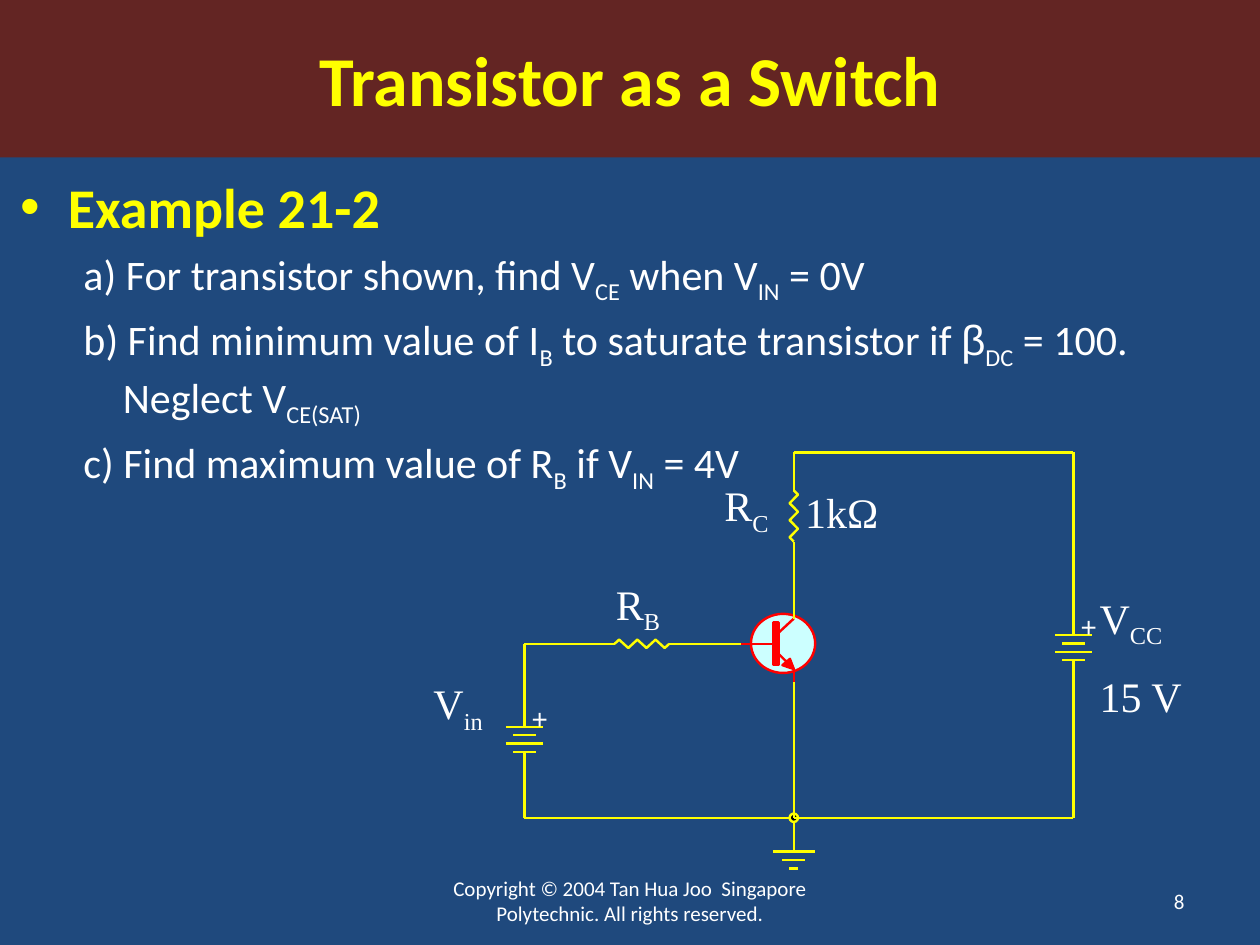
from itertools import pairwise

from lxml import etree
from pptx import Presentation
from pptx import util as u
from pptx.dml.color import RGBColor
from pptx.enum import shapes, text
from pptx.oxml import ns

Pt = u.Pt
NAVY = RGBColor(0x1F, 0x49, 0x7D)
MAROON = RGBColor(0x63, 0x25, 0x23)
YELLOW = RGBColor(0xFF, 0xFF, 0x00)
WHITE = RGBColor(0xFF, 0xFF, 0xFF)
RED = RGBColor(0xFF, 0x00, 0x00)
PALE_CYAN = RGBColor(0xCC, 0xFF, 0xFF)
BLACK = RGBColor(0x00, 0x00, 0x00)
STROKE, LEAD = 1.38, 7.2


# Text helpers
def place(shape, box):
    shape.left, shape.top, shape.width, shape.height = (Pt(v) for v in box)


def add_runs(paragraph, parts, size, font, colour, bold=False):
    """Add runs; every second part is a subscript."""
    for i, part in enumerate(parts):
        if not part:
            continue
        run = paragraph.add_run()
        run.text = part
        run.font.size, run.font.bold = Pt(size), bold
        run.font.name = "Arial" if part == "β" else font
        run.font.color.rgb = colour
        if i % 2:
            run._r.get_or_add_rPr().set("baseline", "-25000")


def set_bullet(paragraph, margin, indent, char=None):
    pPr = paragraph._p.get_or_add_pPr()
    pPr.set("marL", str(Pt(margin)))
    pPr.set("indent", str(Pt(indent)))
    bullet = etree.SubElement(pPr, ns.qn("a:buChar" if char else "a:buNone"))
    if char:
        bullet.set("char", char)


def add_label(slide, box, *lines):
    label = slide.shapes.add_textbox(*(Pt(v) for v in box))
    frame = label.text_frame
    frame.word_wrap = True
    frame.auto_size = text.MSO_AUTO_SIZE.SHAPE_TO_FIT_TEXT
    for i, parts in enumerate(lines):
        paragraph = frame.add_paragraph() if i else frame.paragraphs[0]
        if i:
            paragraph.space_before = Pt(12)
        add_runs(paragraph, parts, 24, "Times New Roman", WHITE)


# Drawing helpers
def paint(shape, fill, line):
    shape.shadow.inherit = False
    if fill is None:
        shape.fill.background()
    else:
        shape.fill.solid()
        shape.fill.fore_color.rgb = fill
    shape.line.color.rgb = line
    shape.line.width = Pt(STROKE)


def add_preset(slide, kind, box, fill, line):
    shape = slide.shapes.add_shape(kind, *(Pt(v) for v in box))
    paint(shape, fill, line)
    return shape


def add_outline(slide, points, fill, line, close):
    points = [(Pt(x), Pt(y)) for x, y in points]
    builder = slide.shapes.build_freeform(*points[0], scale=1.0)
    builder.add_line_segments(points[1:], close=close)
    paint(builder.convert_to_shape(), fill, line)


def add_wires(slide, *points, colour=YELLOW):
    for start, end in pairwise(points):
        wire = slide.shapes.add_connector(
            shapes.MSO_CONNECTOR.STRAIGHT, *(Pt(v) for v in (*start, *end)))
        wire.line.color.rgb = colour
        wire.line.width = Pt(STROKE)
        etree.SubElement(wire._element.spPr, ns.qn("a:effectLst"))
    return wire


# Circuit components
def add_plates(slide, x, y, half_widths):
    for i, half in enumerate(half_widths):
        add_wires(slide, (x - half, y + 4.8 * i), (x + half, y + 4.8 * i))
    add_wires(slide, (x, y), (x, y - LEAD))


def add_battery(slide, x, y):
    add_plates(slide, x, y, (10.5, 6.5, 10.5, 6.5))
    add_wires(slide, (x, y + 14.4), (x, y + 14.4 + LEAD))
    plus = slide.shapes.add_textbox(Pt(x + 4), Pt(y - 14.6), Pt(9.6), Pt(19.4))
    frame = plus.text_frame
    frame.margin_left = frame.margin_right = 0
    frame.margin_top = frame.margin_bottom = 0
    frame.word_wrap = False
    add_runs(frame.paragraphs[0], ["+"], 16, "Courier New", WHITE)


def add_resistor(slide, x, y, length, vertical):
    """Zigzag from (x, y), running up if vertical and otherwise right."""
    def at(along, across):
        return (x + across, y - along) if vertical else (x + along, y + across)

    peaks = [((i + 0.5) * length / 6, 2.4 if i % 2 else -2.4) for i in range(6)]
    zigzag = [at(*p) for p in [(0, 0), *peaks, (length, 0)]]
    add_outline(slide, zigzag, None, YELLOW, close=False)
    add_wires(slide, at(0, 0), at(-LEAD, 0))
    add_wires(slide, at(length, 0), at(length + LEAD, 0))


def add_transistor(slide, x, y):
    """Collector and emitter lie on x, the base on y."""
    preset = shapes.MSO_SHAPE
    add_preset(slide, preset.OVAL, (x - 24.5, y - 17.1, 36.7, 33.8), PALE_CYAN, RED)
    base = add_wires(slide, (x - 22.3, y), (x - 11.5, y), colour=RED)
    bar = add_preset(slide, preset.RECTANGLE, (x - 11.5, y - 12.2, 2.9, 24.4), RED, RED)
    base.end_connect(bar, 1)
    add_wires(slide, (x - 8.6, y + 5.8), (x, y + 14.4), (x, y + 21.6), colour=RED)
    add_wires(slide, (x - 8.6, y - 6.4), (x, y - 14.4), colour=RED)
    arrow = [(x, y + 14.4), (x - 6.5, y + 12.2), (x - 2.2, y + 8.6)]
    add_outline(slide, arrow, RED, RED, close=True)
    add_wires(slide, (x, y - 14.4), (x, y - 22.3))
    add_wires(slide, (x - 22.3, y), (x - 30.2, y), colour=RED)


# Slide regions
def add_title(slide, box):
    title = slide.shapes.title
    place(title, box)
    title.fill.solid()
    title.fill.fore_color.rgb = MAROON
    title.text_frame.vertical_anchor = text.MSO_ANCHOR.MIDDLE
    paragraph = title.text_frame.paragraphs[0]
    paragraph.alignment = text.PP_ALIGN.CENTER
    add_runs(paragraph, ["Transistor as a Switch"], 40, "Calibri", YELLOW, True)


def add_questions(slide, box):
    body = slide.placeholders[1]
    place(body, box)
    frame = body.text_frame
    frame.auto_size = text.MSO_AUTO_SIZE.NONE
    heading = frame.paragraphs[0]
    heading.space_before = Pt(0)
    set_bullet(heading, 27, -27, "•")
    add_runs(heading, ["Example 21-2"], 32, "Calibri", YELLOW, True)
    questions = [
        ("a) For transistor shown, find V", "CE", " when V", "IN", " = 0V"),
        ("b) Find minimum value of I", "B", " to saturate transistor if ", "",
         "β", "DC", " = 100.  Neglect V", "CE(SAT)"),
        ("c) Find maximum value of R", "B", " if V", "IN", " = 4V"),
    ]
    for parts in questions:
        question = frame.add_paragraph()
        question.level = 1
        set_bullet(question, 58.5, -22.5)
        add_runs(question, parts, 24, "Calibri", WHITE)


def add_circuit(slide, box):
    left, top, width, height = box
    right, bottom = left + width, top + height
    mid, base = left + 154, top + 109.4
    # Components
    add_plates(slide, mid, bottom + 19.4, (12, 6.5, 2.5))
    add_resistor(slide, mid, top + 51, 29.2, vertical=True)
    add_resistor(slide, left + 51.6, base, 31.2, vertical=False)
    add_battery(slide, right, top + 104.4)
    add_battery(slide, left, top + 156.8)
    add_transistor(slide, mid, base)
    # Wires
    add_wires(slide, (mid, bottom), (left, bottom), (left, top + 178.4))
    add_wires(slide, (mid, bottom), (mid, bottom + 12.2))
    add_preset(slide, shapes.MSO_SHAPE.OVAL, (mid - 2.4, bottom - 2.4, 4.8, 4.8),
               BLACK, YELLOW)
    add_wires(slide, (mid, top + 58.2), (mid, base - 22.3))
    add_wires(slide, (right, top + 126), (right, bottom), (mid, bottom), (mid, base + 21.6))
    add_wires(slide, (mid, top + 14.6), (mid, top), (right, top), (right, top + 97.2))
    add_wires(slide, (left + 44.4, base), (left, base), (left, top + 149.6))
    add_wires(slide, (left + 90, base), (mid - 30.2, base))
    # Labels
    add_label(slide, (left + 107.2, top + 12.2, 50.4, 36), ("R", "C"))
    add_label(slide, (left + 153.4, top + 15.8, 89.3, 36), ("1kΩ",))
    add_label(slide, (left + 45.3, top + 68.4, 50.4, 36), ("R", "B"))
    add_label(slide, (left - 59, top + 125.3, 56.9, 36), ("V", "in"))
    add_label(slide, (right + 7.9, top + 76.3, 67.7, 79.2), ("V", "CC"), ("15 V",))


def add_footer(slide, box, words, alignment):
    footer = slide.shapes.add_textbox(*(Pt(v) for v in box))
    footer.text_frame.word_wrap = True
    footer.text_frame.vertical_anchor = text.MSO_ANCHOR.MIDDLE
    paragraph = footer.text_frame.paragraphs[0]
    paragraph.alignment = alignment
    add_runs(paragraph, [words], 12, "Calibri", WHITE)


def main():
    deck = Presentation()
    deck.slide_width, deck.slide_height = Pt(720), Pt(540)
    slide = deck.slides.add_slide(deck.slide_layouts[1])
    slide.background.fill.solid()
    slide.background.fill.fore_color.rgb = NAVY
    add_title(slide, (0, 0, 720, 90))
    add_questions(slide, (4.5, 95, 698.5, 215))
    add_circuit(slide, (299.6, 258.5, 313.8, 208.8))
    add_footer(slide, (246, 500.5, 228, 28.75),
               "Copyright © 2004 Tan Hua Joo  Singapore Polytechnic. All rights reserved.",
               text.PP_ALIGN.CENTER)
    add_footer(slide, (516, 500.5, 168, 28.75), "8", text.PP_ALIGN.RIGHT)
    deck.save("out.pptx")


if __name__ == "__main__":
    main()
